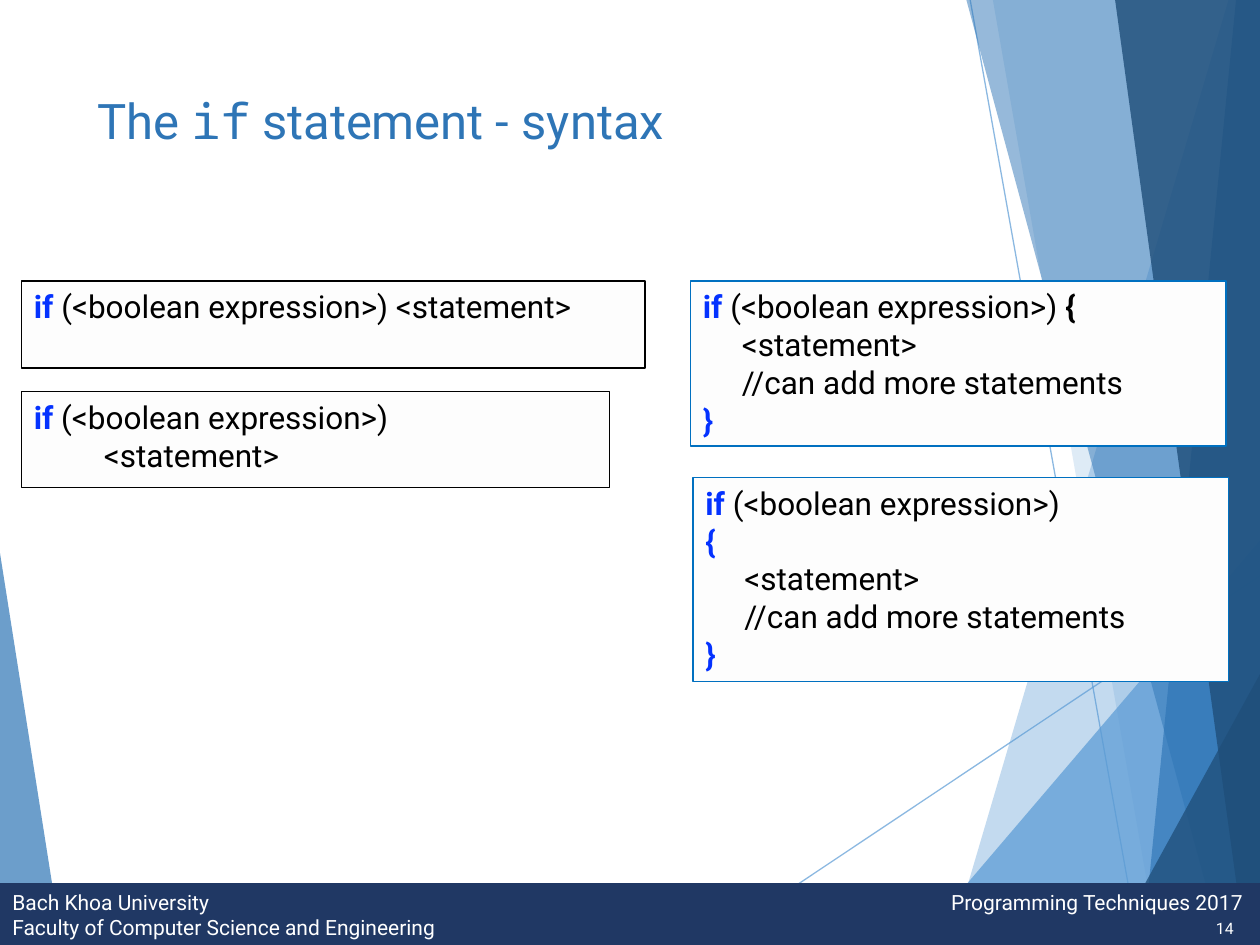
from dataclasses import dataclass

from lxml import etree
from pptx import Presentation
from pptx.dml.color import RGBColor
from pptx.enum.shapes import MSO_CONNECTOR, MSO_SHAPE
from pptx.enum.text import MSO_ANCHOR, PP_ALIGN
from pptx.oxml.ns import qn
from pptx.util import Inches, Pt

STRAIGHT = MSO_CONNECTOR.STRAIGHT
RECTANGLE = MSO_SHAPE.RECTANGLE
TOP, MIDDLE = MSO_ANCHOR.TOP, MSO_ANCHOR.MIDDLE
LEFT, RIGHT = PP_ALIGN.LEFT, PP_ALIGN.RIGHT

COLUMNS, ROWS = 100, 75
TITLE_ONLY = 5


@dataclass(frozen=True)
class Theme:
    sans: str = "Roboto"
    mono: str = "Noto Sans Mono"
    title_size: float = 28
    code_size: float = 18
    footer_size: float = 12
    number_size: float = 9
    hairline: float = 0.75
    sky: str = "5B9BD5"
    blue: str = "2E75B6"
    navy: str = "1F4E79"
    footer: str = "203864"
    panel: str = "FDFDFD"
    accent: str = "0070C0"
    keyword: str = "0432FF"
    black: str = "000000"
    white: str = "FFFFFF"


class SlideBuilder:
    """Draws on one slide; every length is in grid columns and rows."""

    def __init__(self, prs, theme):
        self.theme = theme
        self.column = prs.slide_width / COLUMNS
        self.row = prs.slide_height / ROWS
        self.slide = prs.slides.add_slide(prs.slide_layouts[TITLE_ONLY])
        self.shapes = self.slide.shapes

    def grid(self, *lengths):
        """Turn alternating columns and rows into EMU."""
        units = (self.column, self.row)
        return [round(n * units[i % 2]) for i, n in enumerate(lengths)]

    def set_font(self, font, size, color, name=None):
        font.name = name or self.theme.sans
        font.size = Pt(size)
        font.color.rgb = RGBColor.from_string(color)

    def set_opacity(self, fill, color, percent):
        fill.solid()
        fill.fore_color.rgb = RGBColor.from_string(color)

    def fade(self, shape, percent):
        """Make the shape's first colour, fill or line, partly transparent."""
        color = next(shape._element.spPr.iter(qn("a:srgbClr")))
        etree.SubElement(color, qn("a:alpha"), val=str(percent * 1000))

    def wedge(self, color, opacity, points):
        start, *rest = [self.grid(*point) for point in points]
        outline = self.shapes.build_freeform(*start, scale=1.0)
        outline.add_line_segments(rest, close=True)
        shape = outline.convert_to_shape()
        shape.shadow.inherit = False
        shape.fill.solid()
        shape.fill.fore_color.rgb = RGBColor.from_string(color)
        shape.line.fill.background()
        self.fade(shape, opacity)

    def ray(self, start, end, opacity):
        line = self.shapes.add_connector(STRAIGHT, *self.grid(*start, *end))
        line.line.width = Pt(self.theme.hairline)
        line.line.color.rgb = RGBColor.from_string(self.theme.sky)
        self.fade(line, opacity)
        etree.SubElement(line._element.spPr, qn("a:effectLst"))

    def panel(self, place, fill, border=None, anchor=TOP):
        """Add a rectangle and return its text frame."""
        shape = self.shapes.add_shape(RECTANGLE, *self.grid(*place))
        shape.shadow.inherit = False
        shape.fill.solid()
        shape.fill.fore_color.rgb = RGBColor.from_string(fill)
        if border:
            shape.line.color.rgb = RGBColor.from_string(border)
            shape.line.width = Pt(self.theme.hairline)
        else:
            shape.line.fill.background()
        frame = shape.text_frame
        frame.word_wrap = True
        frame.vertical_anchor = anchor
        return frame

    def paragraphs(self, frame, items):
        """Yield one left-aligned paragraph of the frame for each item."""
        for i, item in enumerate(items):
            paragraph = frame.add_paragraph() if i else frame.paragraphs[0]
            paragraph.alignment = LEFT
            yield paragraph, item

    def title(self, place, parts):
        title = self.shapes.title
        title.left, title.top, title.width, title.height = self.grid(*place)
        frame = title.text_frame
        frame.vertical_anchor = TOP
        for paragraph, runs in self.paragraphs(frame, [parts]):
            for text, name in runs:
                run = paragraph.add_run()
                run.text = text
                self.set_font(run.font, self.theme.title_size, self.theme.blue, name)

    def code(self, place, border, lines):
        frame = self.panel(place, self.theme.panel, border)
        for paragraph, runs in self.paragraphs(frame, lines):
            for text, color, bold in runs:
                run = paragraph.add_run()
                run.text = text
                run.font.bold = bold
                self.set_font(run.font, self.theme.code_size, color)

    def footer(self, place, lines, tab_column):
        frame = self.panel(place, self.theme.footer, anchor=MIDDLE)
        for paragraph, text in self.paragraphs(frame, lines):
            paragraph.text = text
            tabs = etree.SubElement(paragraph._p.get_or_add_pPr(), qn("a:tabLst"))
            tab_position = str(self.grid(tab_column)[0])
            etree.SubElement(tabs, qn("a:tab"), pos=tab_position, algn="l")
            self.set_font(paragraph.font, self.theme.footer_size, self.theme.white)

    def page_number(self, place, number):
        frame = self.shapes.add_textbox(*self.grid(*place)).text_frame
        frame.word_wrap = True
        frame.vertical_anchor = MIDDLE
        paragraph = frame.paragraphs[0]
        paragraph.text = number
        paragraph.alignment = RIGHT
        self.set_font(paragraph.font, self.theme.number_size, self.theme.white)


def draw_backdrop(builder, theme):
    builder.ray((56.1, 75), (100, 45.7), 70)
    builder.ray((77, 0), (90.4, 75), 70)
    top_right, bottom_right = (100, 0), (100, 75)
    wedges = [
        (theme.sky, 36, [(97.5, 0), (75.4, 75), bottom_right, top_right]),
        (theme.sky, 20, [(78.8, 0), (91.9, 75), bottom_right, top_right]),
        (theme.sky, 72, [(72.6, 75), (100, 42.9), bottom_right]),
        (theme.blue, 50, [(76.7, 0), (97, 75), bottom_right, top_right]),
        (theme.blue, 66, [(98.1, 0), (90.7, 75), bottom_right, top_right]),
        (theme.navy, 80, [(88.5, 0), (98.8, 75), bottom_right, top_right]),
        (theme.navy, 76, [(88.2, 75), (100, 53.5), bottom_right]),
        (theme.blue, 70, [(0, 43.9), (4.9, 75), (0, 75)]),
    ]
    for color, opacity, points in wedges:
        builder.wedge(color, opacity, points)


def draw_syntax(builder, theme):
    def keyword(text):
        return text, theme.keyword, True

    def plain(text):
        return text, theme.black, False

    condition = [keyword("if"), plain(" (<boolean expression>)")]
    block = [
        [plain("     <statement>")],
        [plain("     //can add more statements")],
        [keyword("}")],
    ]
    same_line_brace = condition + [plain(" "), ("{", theme.black, True)]

    builder.code((54.8, 22.3, 42.5, 13.1), theme.accent, [same_line_brace, *block])
    builder.code((1.7, 22.3, 49.5, 6.9), theme.black,
                 [condition + [plain(" <statement>")]])
    builder.code((1.7, 31.1, 46.7, 7.6), theme.black,
                 [condition, [plain("         <statement>")]])
    builder.code((55, 37.9, 42.5, 16.2), theme.accent,
                 [condition, [keyword("{")], *block])


def main():
    theme = Theme()
    prs = Presentation()
    prs.slide_width, prs.slide_height = Inches(10), Inches(7.5)
    builder = SlideBuilder(prs, theme)
    draw_backdrop(builder, theme)
    builder.footer((0, 70.1, 100, 5),
                   ["Bach Khoa University\tProgramming Techniques 2017",
                    "Faculty of Computer Science and Engineering"], 74.5)
    builder.title((6.7, 6.7, 69.4, 11),
                  [("The ", theme.sans), ("if", theme.mono),
                   (" statement - syntax", theme.sans)])
    builder.page_number((93.3, 71.7, 5.6, 4), "14")
    draw_syntax(builder, theme)
    prs.save("out.pptx")


if __name__ == "__main__":
    main()
